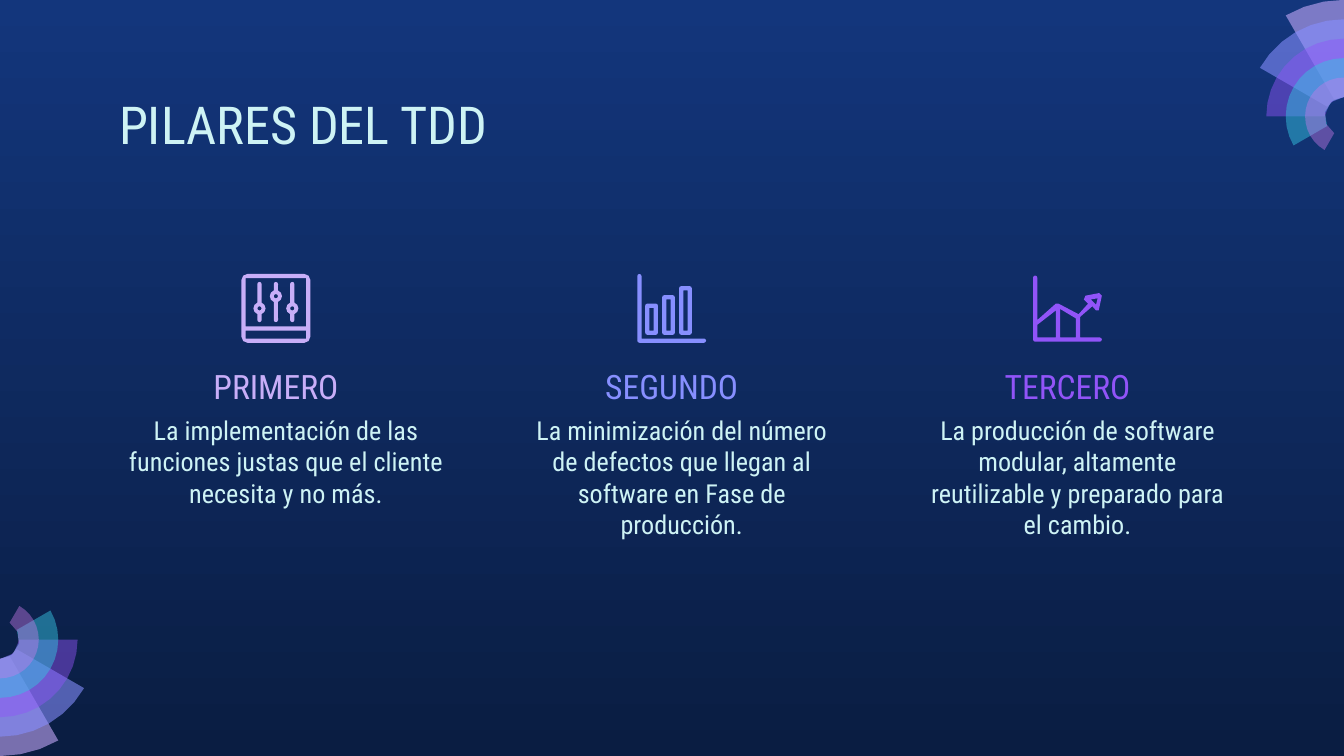
from copy import deepcopy
from math import ceil, cos, radians, sin

from lxml import etree
from pptx import Presentation
from pptx.dml.color import RGBColor
from pptx.enum.text import MSO_ANCHOR, MSO_AUTO_SIZE, PP_ALIGN
from pptx.oxml.ns import qn
from pptx.util import Cm, Pt

TOP, MIDDLE = MSO_ANCHOR.TOP, MSO_ANCHOR.MIDDLE
LEFT, CENTER = PP_ALIGN.LEFT, PP_ALIGN.CENTER
NO_FIT = MSO_AUTO_SIZE.NONE
FONT = "Roboto Condensed"
COLORS = {
    "night_top": "13367C", "night_bottom": "0A1D42", "text": "CEF3F5",
    "lilac": "C8AEF8", "periwinkle": "878FFF", "violet": "9154F8",
    "fan_lilac": "C8ACFD", "cyan": "35C2DF", "orchid": "CA7BEB",
}
STROKE = 0.08
ICON_SIZE = 1.3
FAN_BLADES = [("fan_lilac", 58), ("periwinkle", 58), ("violet", 46),
              ("cyan", 49), ("orchid", 42)]


def color(name):
    """Return the named colour."""
    return RGBColor.from_string(COLORS[name])


def arc(x, y, radius, start, end):
    """Return points along an arc, with angles clockwise from the right."""
    steps = ceil(abs(end - start) / (10 if radius > 0.5 else 45))
    angles = [radians(start + (end - start) * step / steps) for step in range(steps + 1)]
    return [(x + radius * cos(angle), y + radius * sin(angle)) for angle in angles]


def rectangle(left, top, width, height, radius=0.0):
    """Return the outline of a rectangle, with rounded corners if asked."""
    right, bottom = left + width - radius, top + height - radius
    left, top = left + radius, top + radius
    corners = [(left, top), (right, top), (right, bottom), (left, bottom)]
    if not radius:
        return corners
    return [point for index, (x, y) in enumerate(corners)
            for point in arc(x, y, radius, 180 + 90 * index, 270 + 90 * index)]


def add_outline(group, left, top, contours, color_name, opacity=100):
    """Add a filled shape made of closed contours offset by left and top."""
    contours = [[(Cm(left + x), Cm(top + y)) for x, y in contour] for contour in contours]
    builder = group.shapes.build_freeform(*contours[0][0])
    for index, contour in enumerate(contours):
        if index:
            builder.move_to(*contour[0])
        builder.add_line_segments(contour[1:], close=True)
    shape = builder.convert_to_shape()
    shape.shadow.inherit = False
    shape.fill.solid()
    shape.fill.fore_color.rgb = color(color_name)
    shape.line.fill.background()
    if opacity < 100:
        fill_color = shape.element.spPr.find(qn("a:solidFill"))[0]
        etree.SubElement(fill_color, qn("a:alpha")).set("val", str(opacity * 1000))


def add_fan(slide, x, y, start):
    """Add a fan of ring sectors around a centre, turning from a start angle."""
    group = slide.shapes.add_group_shape()
    ring = 0.367
    for index, (color_name, opacity) in enumerate(FAN_BLADES):
        end = start - 30 * (index + 1)
        contour = arc(0, 0, ring * (6 - index), start, end) + arc(0, 0, ring, end, start)
        add_outline(group, x, y, [contour], color_name, opacity)


def add_sliders_icon(group, left, top, color_name):
    """Add a panel with three sliders."""
    inner = ICON_SIZE - 2 * STROKE
    add_outline(group, left, top, [
        rectangle(0, 0, ICON_SIZE, ICON_SIZE, 0.11),
        rectangle(STROKE, STROKE, inner, 0.91),
        rectangle(STROKE, 1.07, inner, 0.15)], color_name)
    cap = STROKE / 2
    for x, y in [(0.34, 0.65), (0.65, 0.42), (0.96, 0.65)]:
        contour = (arc(x, y, 0.115, -70, 70) + arc(x, 0.87, cap, 0, 180)
                   + arc(x, y, 0.115, 110, 250) + arc(x, 0.19, cap, 180, 360))
        add_outline(group, left, top, [contour, arc(x, y, 0.04, 0, 315)], color_name)


def add_bars_icon(group, left, top, color_name):
    """Add a bar chart with three hollow bars."""
    width, bottom = 0.24, 1.15
    for index, bar_top in enumerate([0.56, 0.4, 0.23]):
        x, height = 0.15 + 0.32 * index, bottom - bar_top
        add_outline(group, left, top, [
            rectangle(x, bar_top, width, height, 0.04),
            rectangle(x + STROKE, bar_top + STROKE,
                      width - 2 * STROKE, height - 2 * STROKE)], color_name)
    cap = STROKE / 2
    axes = (arc(cap, cap, cap, 180, 360) + [(STROKE, 1.22)]
            + arc(1.26, 1.26, cap, -90, 90) + arc(cap, 1.26, cap, 90, 180))
    add_outline(group, left, top, [axes], color_name)


def add_trend_icon(group, left, top, color_name):
    """Add an area chart whose line ends in an arrow."""
    cap = STROKE / 2
    outside = (arc(cap, 0.07, cap, 180, 360)
               + [(0.08, 0.87), (0.43, 0.56), (0.48, 0.56), (0.86, 0.76), (1.04, 0.56),
                  (0.96, 0.48), (0.99, 0.41), (1.25, 0.36), (1.3, 0.41), (1.24, 0.69),
                  (1.19, 0.69), (1.12, 0.61), (0.89, 0.81), (0.89, 1.2)]
               + arc(1.26, 1.24, cap, -90, 90) + arc(cap, 1.24, cap, 90, 180))
    add_outline(group, left, top, [
        outside,
        [(1.22, 0.46), (1.19, 0.58), (1.09, 0.48)],
        [(0.43, 0.69), (0.43, 1.2), (0.08, 1.2), (0.08, 0.96)],
        [(0.51, 0.66), (0.81, 0.84), (0.81, 1.2), (0.51, 1.2)]], color_name)


def fill_placeholder(shape, box, text, size, color_name, anchor, alignment, indent=0.0):
    """Place a placeholder in its box and write one formatted run."""
    shape.left, shape.top, shape.width, shape.height = [Cm(length) for length in box]
    frame = shape.text_frame
    frame.word_wrap = True
    frame.auto_size = NO_FIT
    frame.vertical_anchor = anchor
    frame.margin_left = frame.margin_right = Cm(0.25)
    frame.margin_top = frame.margin_bottom = Cm(0.25)
    paragraph = frame.paragraphs[0]
    paragraph.alignment = alignment
    paragraph.space_before = Pt(0)
    properties = paragraph._p.get_or_add_pPr()
    properties.set("marL", str(Cm(indent)))
    properties.set("indent", "0")
    etree.SubElement(properties, qn("a:buNone"))
    run = paragraph.add_run()
    run.text = text
    run.font.name = FONT
    run.font.size = Pt(size)
    run.font.bold = False
    run.font.color.rgb = color(color_name)


def add_pillar(slide, left, top, width, heading, body, pillar):
    """Fill one column with an icon, a heading and a text."""
    add_icon, color_name, title, text, widening = pillar
    group = slide.shapes.add_group_shape()
    add_icon(group, left + (width - ICON_SIZE) / 2, top, color_name)
    fill_placeholder(heading, (left, top + 1.58, width, 1.09), title, 18,
                     color_name, MIDDLE, CENTER)
    fill_placeholder(body, (left - widening, top + 2.4, width + 2 * widening, 2.2), text, 14,
                     "text", TOP, CENTER, 0.38)


def add_third_pair(layout):
    """Give the comparison layout a third heading and text."""
    pair = [shape for shape in layout.placeholders if shape.placeholder_format.idx in (3, 4)]
    for index, shape in enumerate(pair, 13):
        element = deepcopy(shape.element)
        element.find(".//" + qn("p:cNvPr")).set("id", str(index + 10))
        element.find(".//" + qn("p:ph")).set("idx", str(index))
        layout.shapes.element.append(element)


def build_pillars_slide(presentation):
    """Build the slide with a title and three pillars."""
    layout = presentation.slide_layouts[4]
    add_third_pair(layout)
    slide = presentation.slides.add_slide(layout)
    background = slide.background.fill
    background.gradient()
    background.gradient_angle = 270
    for stop, name in zip(background.gradient_stops, ("night_top", "night_bottom")):
        stop.color.rgb = color(name)
    add_fan(slide, 0, 12.09, 90)
    add_fan(slide, 25.4, 2.2, 270)
    fill_placeholder(slide.shapes.title, (2, 1.5, 21.4, 1.6), "PILARES DEL TDD", 28,
                     "text", TOP, LEFT)
    pillars = [
        (add_sliders_icon, "lilac", "PRIMERO",
         "La implementación de las funciones justas que el cliente necesita y no más.", 0.5),
        (add_bars_icon, "periwinkle", "SEGUNDO",
         "La minimización del número de defectos que llegan al software en Fase de producción.", 0),
        (add_trend_icon, "violet", "TERCERO",
         "La producción de software modular, altamente reutilizable y preparado para el cambio.", 0),
    ]
    places = {shape.placeholder_format.idx: shape for shape in slide.placeholders}
    for index, (pillar, first) in enumerate(zip(pillars, (1, 3, 13))):
        add_pillar(slide, 2 + 7.48 * index, 5.18, 6.43, places[first], places[first + 1], pillar)


presentation = Presentation()
presentation.slide_width, presentation.slide_height = Cm(25.4), Cm(14.29)
build_pillars_slide(presentation)
presentation.save("out.pptx")
